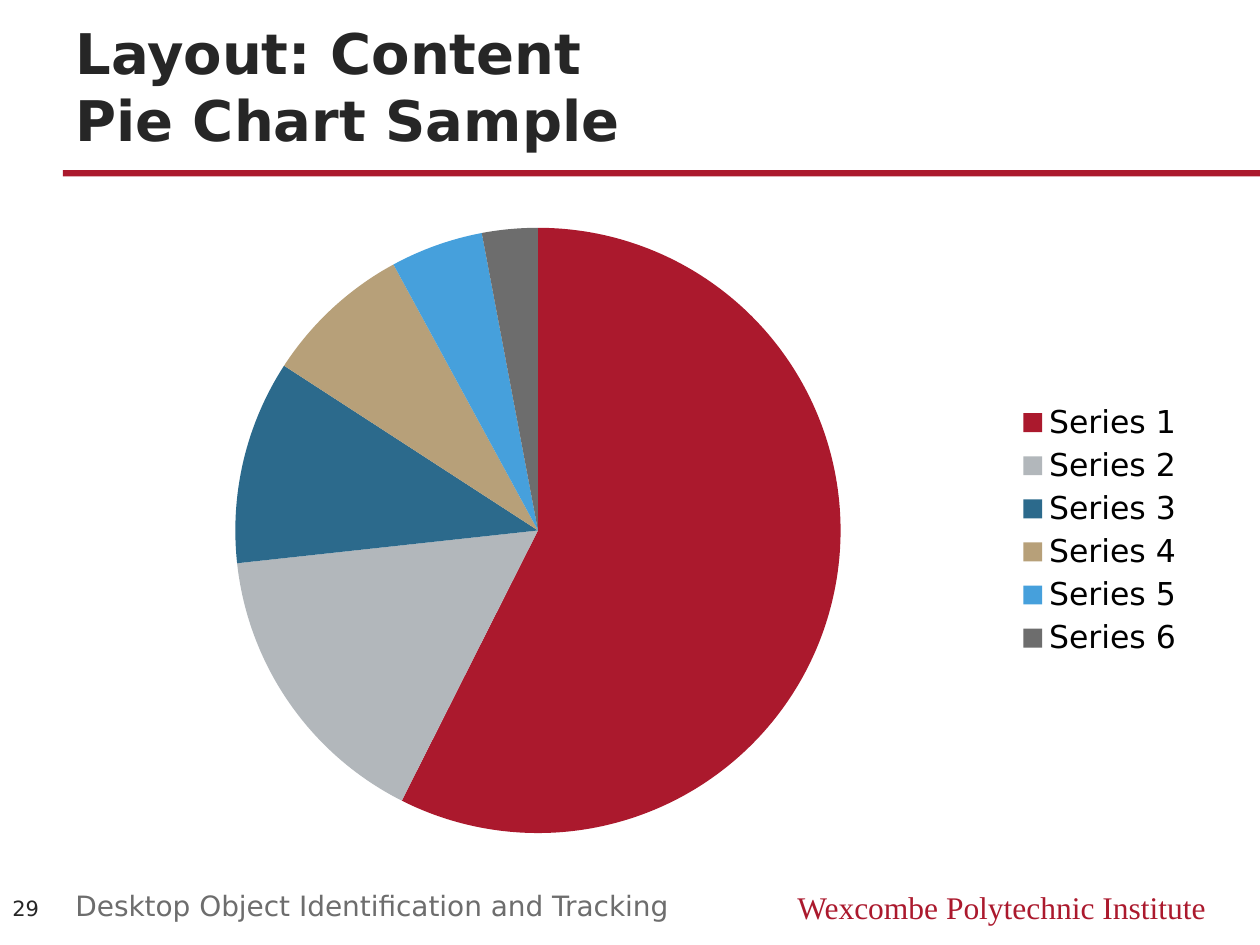
from pptx import Presentation
from pptx.chart.data import CategoryChartData
from pptx.dml.color import RGBColor
from pptx.enum.chart import XL_CHART_TYPE as ChartType, XL_LEGEND_POSITION as LegendPosition
from pptx.enum.shapes import MSO_SHAPE as Shape
from pptx.enum.text import MSO_ANCHOR as Anchor, PP_ALIGN as Align
from pptx.util import Pt

CRIMSON = RGBColor(0xAB, 0x19, 0x2D)
SILVER = RGBColor(0xB2, 0xB7, 0xBB)
TEAL = RGBColor(0x2C, 0x6A, 0x8C)
TAN = RGBColor(0xB7, 0xA0, 0x79)
SKY = RGBColor(0x46, 0xA0, 0xDC)
GRAY = RGBColor(0x6D, 0x6D, 0x6D)
INK = RGBColor(0x26, 0x26, 0x26)
BLACK = RGBColor(0, 0, 0)

SANS = "DejaVu Sans"
SERIF = "Times New Roman"


class SlideWriter:
    """Holds the chart palette and the page being filled."""

    palette = [CRIMSON, SILVER, TEAL, TAN, SKY, GRAY]

    def __init__(self, page):
        self.page = page

    def set_font(self, font, size, color, name=SANS, bold=False):
        font.name = name
        font.size = Pt(size)
        font.bold = bold
        font.color.rgb = color

    def bar(self, left, top, width, height, color):
        bar = self.page.shapes.add_shape(
            Shape.RECTANGLE, Pt(left), Pt(top), Pt(width), Pt(height))
        bar.shadow.inherit = False
        bar.fill.solid()
        bar.fill.fore_color.rgb = color
        bar.line.fill.background()

    def text(self, words, left, top, width, height, size, color,
             name=SANS, bold=False, align=Align.LEFT, anchor=Anchor.TOP):
        box = self.page.shapes.add_textbox(Pt(left), Pt(top), Pt(width), Pt(height))
        frame = box.text_frame
        frame.word_wrap = True
        frame.vertical_anchor = anchor
        para = frame.paragraphs[0]
        para.text = words
        para.alignment = align
        self.set_font(para.font, size, color, name, bold)

    def pie(self, name, categories, values, left, top, width, height):
        data = CategoryChartData()
        data.categories = categories
        data.add_series(name, values)
        chart = self.page.shapes.add_chart(
            ChartType.PIE, Pt(left), Pt(top), Pt(width), Pt(height), data).chart
        self.set_font(chart.font, 18, BLACK)
        chart.has_title = False
        chart.has_legend = True
        chart.legend.position = LegendPosition.RIGHT
        chart.legend.include_in_layout = False
        plot = chart.plots[0]
        plot.vary_by_categories = True
        for index, color in enumerate(self.palette):
            slice_format = plot.series[0].points[index].format
            slice_format.fill.solid()
            slice_format.fill.fore_color.rgb = color
            slice_format.line.fill.background()


deck = Presentation()
deck.slide_width, deck.slide_height = Pt(720), Pt(540)
writer = SlideWriter(deck.slides.add_slide(deck.slide_layouts[6]))

# Heading and rule
writer.bar(36, 97.2, 684, 3.6, CRIMSON)
writer.text("Layout: Content\vPie Chart Sample", 36, 27.36, 648, 63.36,
            32, INK, bold=True, anchor=Anchor.BOTTOM)

# Pie chart
writer.pie("Series 1", [f"Series {number}" for number in range(1, 7)],
           [58, 16, 11, 8, 5, 3], 36, 120.24, 648, 365.76)

# Footer
writer.text("29", 0, 503.28, 36, 30.96, 12, INK, anchor=Anchor.MIDDLE)
writer.text("Desktop Object Identification and Tracking",
            36, 504, 401.76, 23.76, 16, GRAY)
writer.text("Wexcombe Polytechnic Institute", 432, 504, 264.24, 28.8,
            18, CRIMSON, name=SERIF, align=Align.RIGHT)

deck.save("out.pptx")
